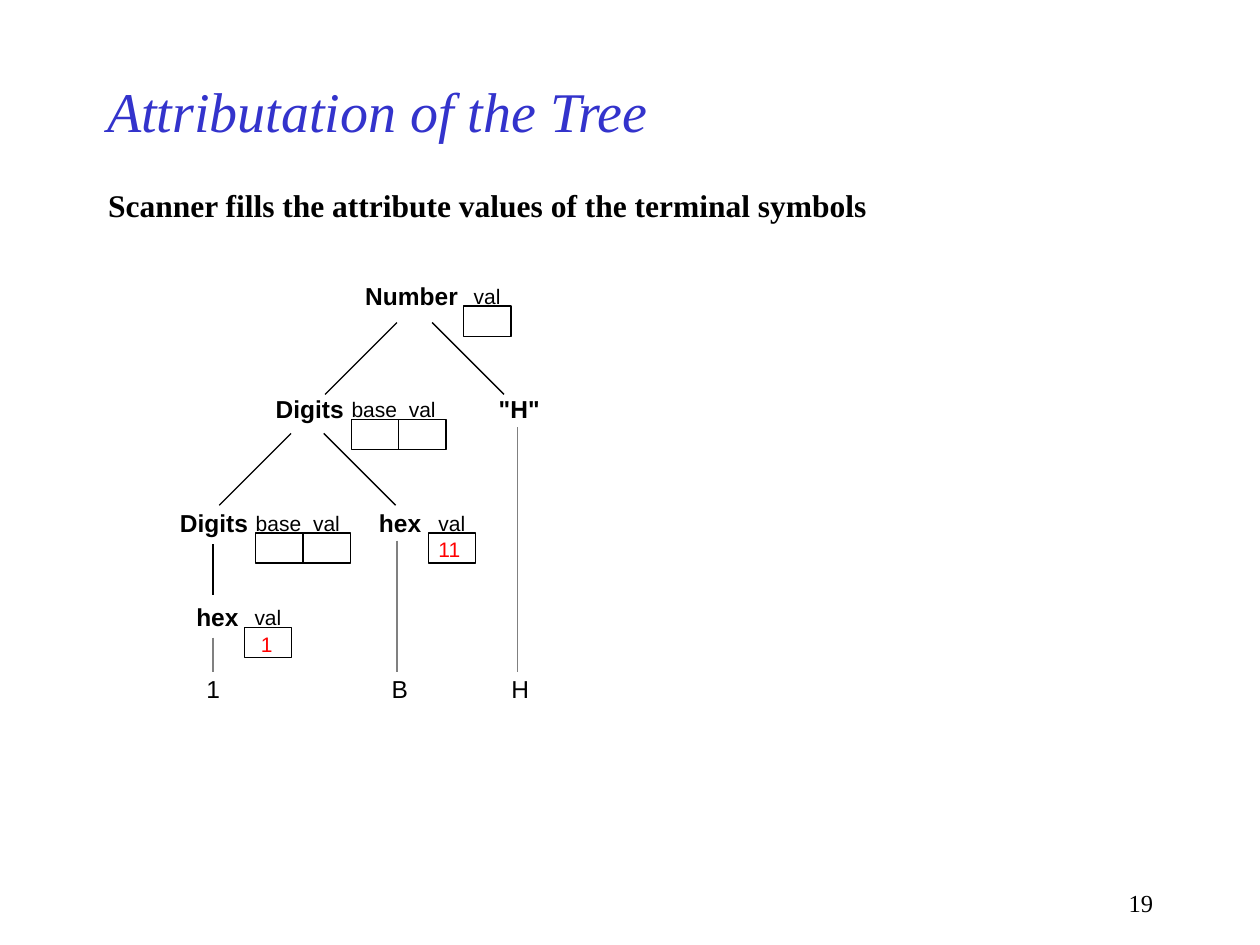
"""Build the slide that shows the attributed syntax tree of a hexadecimal number."""
import pptx
import pptx.util
import pptx.dml.color
import pptx.enum.shapes
import pptx.enum.text
import pptx.oxml.ns
import lxml.etree

BLACK = pptx.dml.color.RGBColor(0x00, 0x00, 0x00)
BLUE = pptx.dml.color.RGBColor(0x33, 0x33, 0xCC)
RED = pptx.dml.color.RGBColor(0xFF, 0x00, 0x00)
GRAY = pptx.dml.color.RGBColor(0x80, 0x80, 0x80)
SERIF, SANS = "Times New Roman", "Arial"

TITLE = "Attributation of the Tree"
SUBTITLE = "Scanner fills the attribute values of the terminal symbols"
PAGE_NUMBER = "19"

ROWS = [2.18, 3.08, 3.98, 4.73, 5.3]
COLUMNS = {"1": 1.69, "B": 3.15, "H": 4.11}
LABEL_HEIGHT, CAPTION_HEIGHT = 0.34, 0.2
CAPTION_DROP, CELL_DROP, VALUE_DROP = 0.07, 0.25, 0.28
CELL_WIDTH, CELL_HEIGHT = 0.375, 0.24
BRANCH = 0.57
CAPTIONS = {"base": (0, 0.36), "val": (0.08, 0.21)}
VALUES = {"": (0, 0), "1": (0.13, 0.09), "11": (0.08, 0.19)}

# label, row, left, width, left of first cell, attributes with their values
NODES = [
    ("Number", 0, 2.8, 0.93, 3.68, [("val", "")]),
    ("Digits", 1, 2.09, 0.74, 2.79, [("base", ""), ("val", "")]),
    ('"H"', 1, 3.86, 0.52, 0, []),
    ("Digits", 2, 1.33, 0.74, 2.03, [("base", ""), ("val", "")]),
    ("hex", 2, 2.91, 0.53, 3.4, [("val", "11")]),
    ("hex", 3, 1.46, 0.53, 1.94, [("val", "1")]),
]
LEAVES = [("1", 1.54, 0.31), ("B", 3.01, 0.33), ("H", 3.96, 0.34)]
BRANCHES = [(3.15, 2.56, -1), (3.43, 2.56, 1), (2.31, 3.44, -1), (2.57, 3.44, 1)]
STEMS = [
    ("1", 4.32, 4.72, BLACK),
    ("1", 5.06, 5.33, GRAY),
    ("B", 4.29, 5.33, GRAY),
    ("H", 3.39, 5.33, GRAY),
]


def inches(*lengths):
    return [pptx.util.Inches(length) for length in lengths]


def write(slide, text, box, shape=None, font=SANS, size=14, color=BLACK, bold=False,
          italic=False, margins=(0.1, 0.05), wrap=False,
          align=pptx.enum.text.PP_ALIGN.LEFT, anchor=pptx.enum.text.MSO_ANCHOR.TOP):
    """Write one line of formatted text in a text box or in the given placeholder."""
    shape = shape or slide.shapes.add_textbox(*inches(*box))
    shape.left, shape.top, shape.width, shape.height = inches(*box)
    frame = shape.text_frame
    frame.word_wrap = wrap
    frame.auto_size = pptx.enum.text.MSO_AUTO_SIZE.NONE
    frame.vertical_anchor = anchor
    frame.margin_left = frame.margin_right = pptx.util.Inches(margins[0])
    frame.margin_top = frame.margin_bottom = pptx.util.Inches(margins[1])
    paragraph = frame.paragraphs[0]
    paragraph.alignment = align
    run = paragraph.add_run()
    run.text = text
    run.font.name, run.font.size = font, pptx.util.Pt(size)
    run.font.bold, run.font.italic = bold, italic
    run.font.color.rgb = color


def draw_line(slide, start, end, color=BLACK):
    line = slide.shapes.add_connector(
        pptx.enum.shapes.MSO_CONNECTOR.STRAIGHT, *inches(*start, *end))
    line.line.color.rgb = color
    line.line.width = pptx.util.Pt(0.75)
    lxml.etree.SubElement(line._element.spPr, pptx.oxml.ns.qn("a:effectLst"))


def draw_cell(slide, left, top):
    cell = slide.shapes.add_shape(
        pptx.enum.shapes.MSO_SHAPE.RECTANGLE, *inches(left, top, CELL_WIDTH, CELL_HEIGHT))
    cell.shadow.inherit = False
    cell.fill.background()
    cell.line.color.rgb = BLACK
    cell.line.width = pptx.util.Pt(0.75)


def draw_node(slide, label, row, left, width, cells_left, attributes):
    top = ROWS[row]
    write(slide, label, (left, top, width, LABEL_HEIGHT), bold=True)
    for index, (caption, value) in enumerate(attributes):
        cell_left = cells_left + index * CELL_WIDTH
        draw_cell(slide, cell_left, top + CELL_DROP)
        for text, (shift, text_width), drop, color in (
                (caption, CAPTIONS[caption], CAPTION_DROP, BLACK),
                (value, VALUES[value], VALUE_DROP, RED)):
            if text:
                write(slide, text, (cell_left + shift, top + drop, text_width, CAPTION_HEIGHT),
                      size=12, color=color, margins=(0, 0))


def main():
    presentation = pptx.Presentation()
    presentation.slide_width, presentation.slide_height = inches(10, 7.5)
    slide = presentation.slides.add_slide(presentation.slide_layouts.get_by_name("Title Only"))
    write(slide, TITLE, (0.75, 0.5, 7.5, 0.75), shape=slide.shapes.title, font=SERIF, size=32,
          color=BLUE, italic=True, wrap=True, anchor=pptx.enum.text.MSO_ANCHOR.MIDDLE)
    write(slide, SUBTITLE, (0.76, 1.43, 6.22, 0.4), font=SERIF, size=18, bold=True)
    for node in NODES:
        draw_node(slide, *node)
    for symbol, left, width in LEAVES:
        write(slide, symbol, (left, ROWS[-1], width, LABEL_HEIGHT))
    for x, y, direction in BRANCHES:
        draw_line(slide, (x, y), (x + direction * BRANCH, y + BRANCH))
    for column, top, bottom, color in STEMS:
        draw_line(slide, (COLUMNS[column], top), (COLUMNS[column], bottom), color)
    write(slide, PAGE_NUMBER, (7.17, 7, 2.08, 0.33), font=SERIF, wrap=True,
          align=pptx.enum.text.PP_ALIGN.RIGHT)
    presentation.save("out.pptx")


if __name__ == "__main__":
    main()
